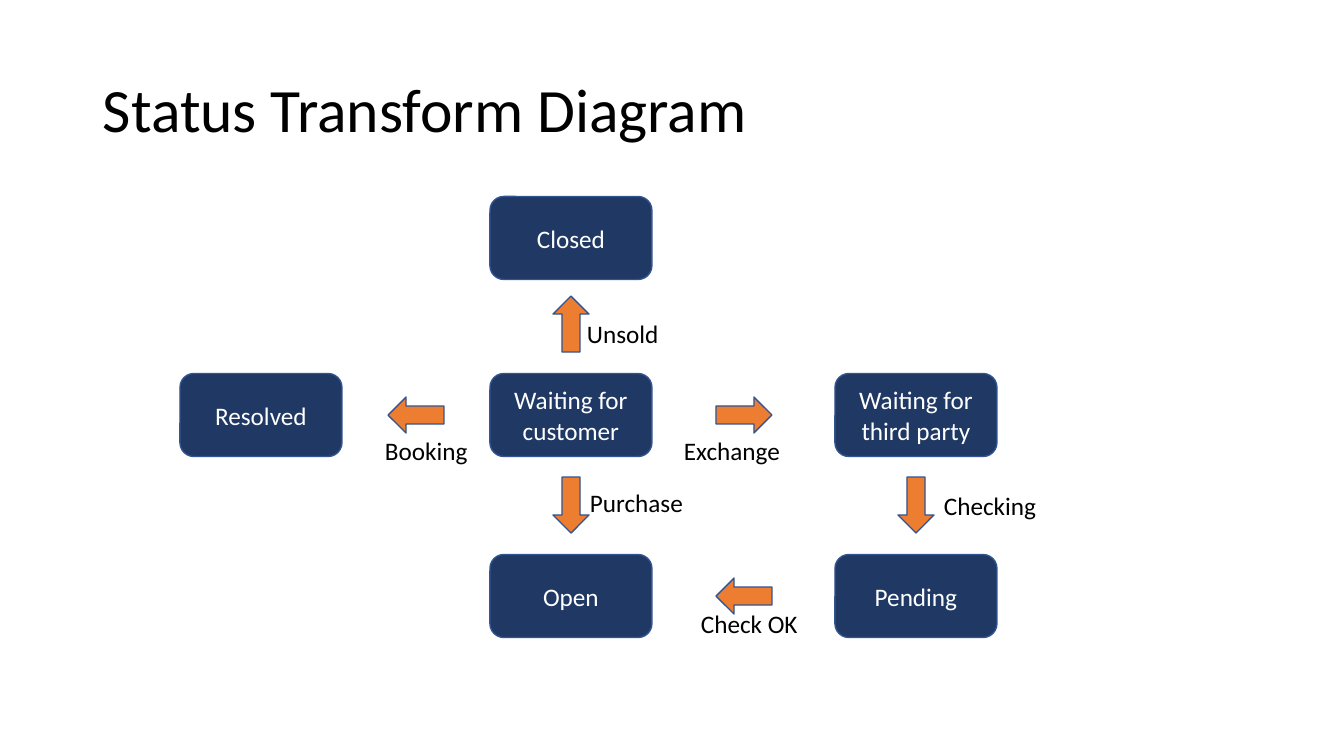
"""Build the Status Transform Diagram slide."""
import dataclasses

import pptx
import pptx.dml.color
import pptx.enum.shapes
import pptx.enum.text
import pptx.util

PIXEL = 914400 / 100.8
SHAPES = pptx.enum.shapes.MSO_SHAPE
ALIGN = pptx.enum.text.PP_ALIGN
ANCHOR = pptx.enum.text.MSO_ANCHOR


@dataclasses.dataclass(frozen=True)
class Theme:
    font: str = "Calibri"
    title_size: int = 44
    text_size: int = 18
    ink: str = "000000"
    state_ink: str = "FFFFFF"
    state_fill: str = "203864"
    arrow_fill: str = "ED7D31"
    outline: str = "325491"


theme = Theme()


def write(target, text, size=theme.text_size, color=theme.ink, align=ALIGN.LEFT,
          anchor=ANCHOR.TOP, spacing=1.0):
    frame = target.text_frame
    frame.word_wrap = True
    frame.vertical_anchor = anchor
    paragraph = frame.paragraphs[0]
    paragraph.alignment = align
    paragraph.line_spacing = spacing
    run = paragraph.add_run()
    run.text = text
    run.font.name = theme.font
    run.font.size = pptx.util.Pt(size)
    run.font.color.rgb = pptx.dml.color.RGBColor.from_string(color)


def add_centred(kind, center_x, center_y, width, height, fill):
    left, top = center_x - width / 2, center_y - height / 2
    shape = slide.shapes.add_shape(
        kind, *(round(v * PIXEL) for v in (left, top, width, height)))
    shape.shadow.inherit = False
    shape.fill.solid()
    shape.fill.fore_color.rgb = pptx.dml.color.RGBColor.from_string(fill)
    shape.line.color.rgb = pptx.dml.color.RGBColor.from_string(theme.outline)
    shape.line.width = pptx.util.Pt(1)
    return shape


deck = pptx.Presentation()
deck.slide_width = round(1344 * PIXEL)
deck.slide_height = round(756 * PIXEL)
slide = deck.slides.add_slide(deck.slide_layouts[6])

title = slide.shapes.add_textbox(*(round(v * PIXEL) for v in (93, 40, 1159, 146)))
write(title, "Status Transform Diagram", size=theme.title_size,
      anchor=ANCHOR.MIDDLE, spacing=0.9)

left_column, middle_column, right_column = 261, 571, 916
top_row, middle_row, bottom_row = 238, 415, 596

states = [
    ("Waiting for customer", middle_column, middle_row),
    ("Open", middle_column, bottom_row),
    ("Closed", middle_column, top_row),
    ("Resolved", left_column, middle_row),
    ("Waiting for third party", right_column, middle_row),
    ("Pending", right_column, bottom_row),
]
for name, x, y in states:
    state = add_centred(SHAPES.ROUNDED_RECTANGLE, x, y, 162, 83, theme.state_fill)
    write(state, name, color=theme.state_ink, align=ALIGN.CENTER, anchor=ANCHOR.MIDDLE)

RIGHT, DOWN, LEFT, UP = 0, 90, 180, 270
transitions = [
    ("Unsold", middle_column, 324, UP, 577, 313),
    ("Exchange", 744, middle_row, RIGHT, 674, 430),
    ("Booking", 416, middle_row, LEFT, 375, 430),
    ("Purchase", middle_column, 505, DOWN, 580, 482),
    ("Checking", right_column, 505, DOWN, 934, 485),
    ("Check OK", 744, bottom_row, LEFT, 691, 603),
]
for action, x, y, direction, label_left, label_top in transitions:
    arrow = add_centred(SHAPES.RIGHT_ARROW, x, y, 56, 36, theme.arrow_fill)
    arrow.rotation = direction
    label = slide.shapes.add_textbox(
        *(round(v * PIXEL) for v in (label_left, label_top, 138, 40)))
    write(label, action)

deck.save("out.pptx")
